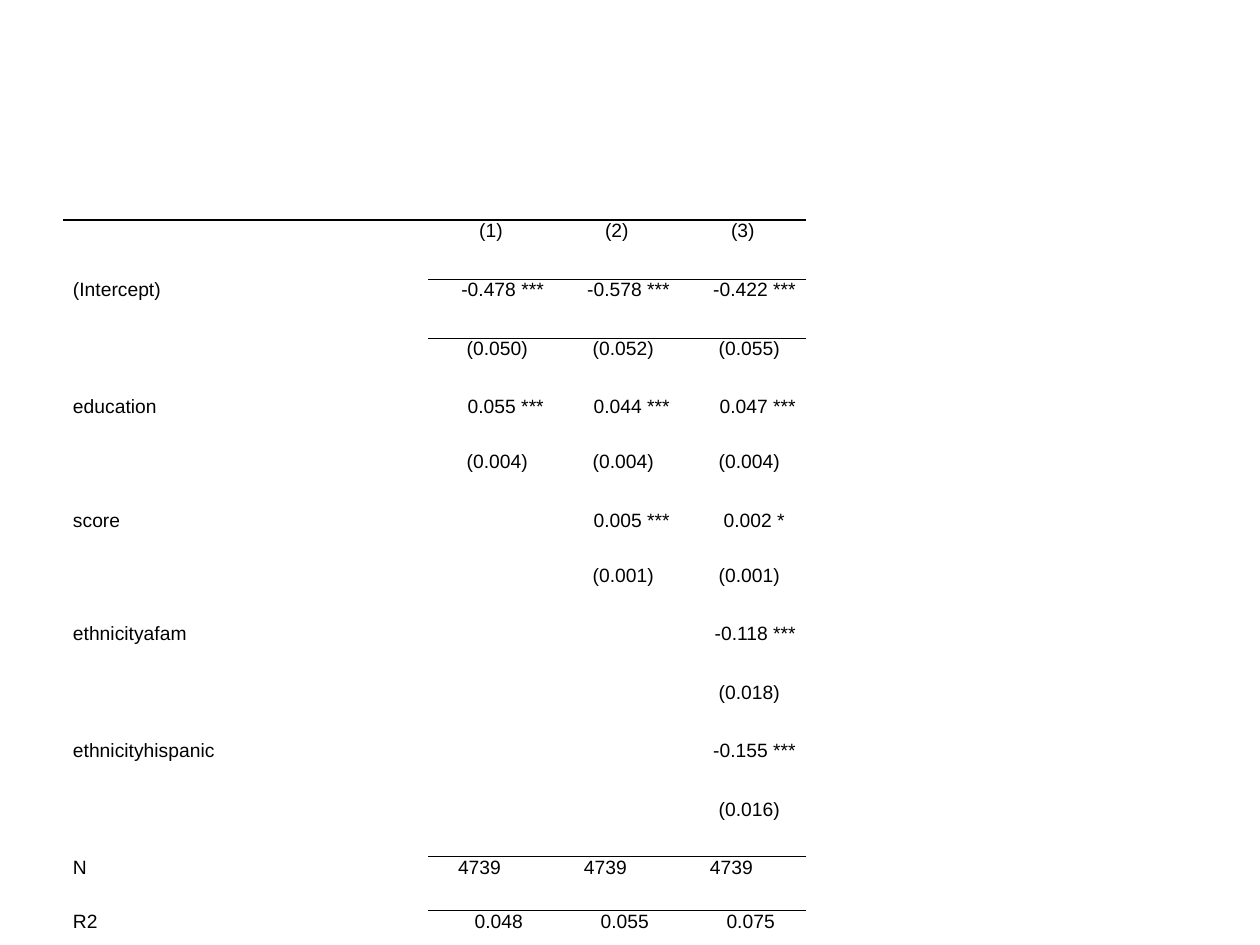
from lxml.etree import SubElement
from pptx import Presentation
from pptx.dml.color import RGBColor
from pptx.enum.text import MSO_ANCHOR, PP_ALIGN
from pptx.oxml.ns import qn
from pptx.util import Pt

SCALE = 914400 // 126
BLACK = RGBColor(0, 0, 0)
FONT, FONT_SIZE = "Arial", Pt(11)
NO_STYLE = "{2D5ABB26-0587-4C30-8999-92F81FD0307C}"
THICK, THIN = Pt(0.8), Pt(0.4)

LEFT, TOP = 63, 220
COLUMN_WIDTHS = [365, 126, 126, 126]
SIDE_MARGIN = 10

# Row height, space kept right of the numbers, label, then one value per model
ROWS = [
    (59, 0, "", "(1)", "(2)", "(3)"),
    (59, 0, "(Intercept)", "-0.478 ***", "-0.578 ***", "-0.422 ***"),
    (58, 16, "", "(0.050)", "(0.052)", "(0.055)"),
    (55, 0, "education", "0.055 ***", "0.044 ***", "0.047 ***"),
    (59, 16, "", "(0.004)", "(0.004)", "(0.004)"),
    (55, 0, "score", "", "0.005 ***", "0.002 *"),
    (58, 16, "", "", "(0.001)", "(0.001)"),
    (59, 0, "ethnicityafam", "", "", "-0.118 ***"),
    (58, 16, "", "", "", "(0.018)"),
    (59, 0, "ethnicityhispanic", "", "", "-0.155 ***"),
    (58, 16, "", "", "", "(0.016)"),
    (54, 43, "N", "4739", "4739", "4739"),
    (54, 21, "R2", "0.048", "0.055", "0.075"),
]
SINGLE_STAR_GAP = 11
# Row above which a rule runs: first column and line width
RULES = {0: (0, THICK), 1: (1, THIN), 11: (1, THIN)}


def px(value):
    """Turn pixels into EMU."""
    return value * SCALE


def add_border(cell, side, width):
    """Draw a black line on one side of a cell."""
    properties = cell._tc.get_or_add_tcPr()
    line = SubElement(properties, qn(f"a:{side}"), w=str(int(width)))
    fill = SubElement(line, qn("a:solidFill"))
    SubElement(fill, qn("a:srgbClr"), val=str(BLACK))


def write_cell(cell, text, alignment, gap):
    """Set the text and its place inside a cell."""
    cell.margin_top = cell.margin_bottom = 0
    cell.margin_left = px(SIDE_MARGIN)
    cell.margin_right = px(SIDE_MARGIN + gap)
    cell.vertical_anchor = MSO_ANCHOR.TOP
    paragraph = cell.text_frame.paragraphs[0]
    paragraph.text = text
    paragraph.alignment = alignment
    paragraph.space_before = paragraph.space_after = Pt(6)
    paragraph.font.size = FONT_SIZE
    for run in paragraph.runs:
        run.font.name = FONT
        run.font.size = FONT_SIZE
        run.font.color.rgb = BLACK


def add_regression_table(slide):
    """Build the table of model estimates."""
    heights = [row[0] for row in ROWS]
    frame = slide.shapes.add_table(
        len(ROWS), len(COLUMN_WIDTHS), px(LEFT), px(TOP),
        px(sum(COLUMN_WIDTHS)), px(sum(heights)))
    frame.element.xpath(".//a:tableStyleId")[0].text = NO_STYLE
    table = frame.table
    table.first_row = table.horz_banding = False
    for column, width in zip(table.columns, COLUMN_WIDTHS):
        column.width = px(width)
    for row_index, (height, row_gap, *texts) in enumerate(ROWS):
        table.rows[row_index].height = px(height)
        for column_index, text in enumerate(texts):
            cell = table.cell(row_index, column_index)
            gap = row_gap if column_index else 0
            if text.endswith(" *"):
                gap = SINGLE_STAR_GAP
            if column_index == 0:
                alignment = PP_ALIGN.LEFT
            else:
                alignment = PP_ALIGN.RIGHT if row_index else PP_ALIGN.CENTER
            write_cell(cell, text, alignment, gap)
            for side, rule_row in (("lnT", row_index), ("lnB", row_index + 1)):
                first_column, width = RULES.get(rule_row, (len(texts), THIN))
                if column_index >= first_column:
                    add_border(cell, side, width)
            cell.fill.background()


presentation = Presentation()
presentation.slide_width, presentation.slide_height = px(1260), px(945)
slide = presentation.slides.add_slide(presentation.slide_layouts[6])
add_regression_table(slide)
presentation.save("out.pptx")
